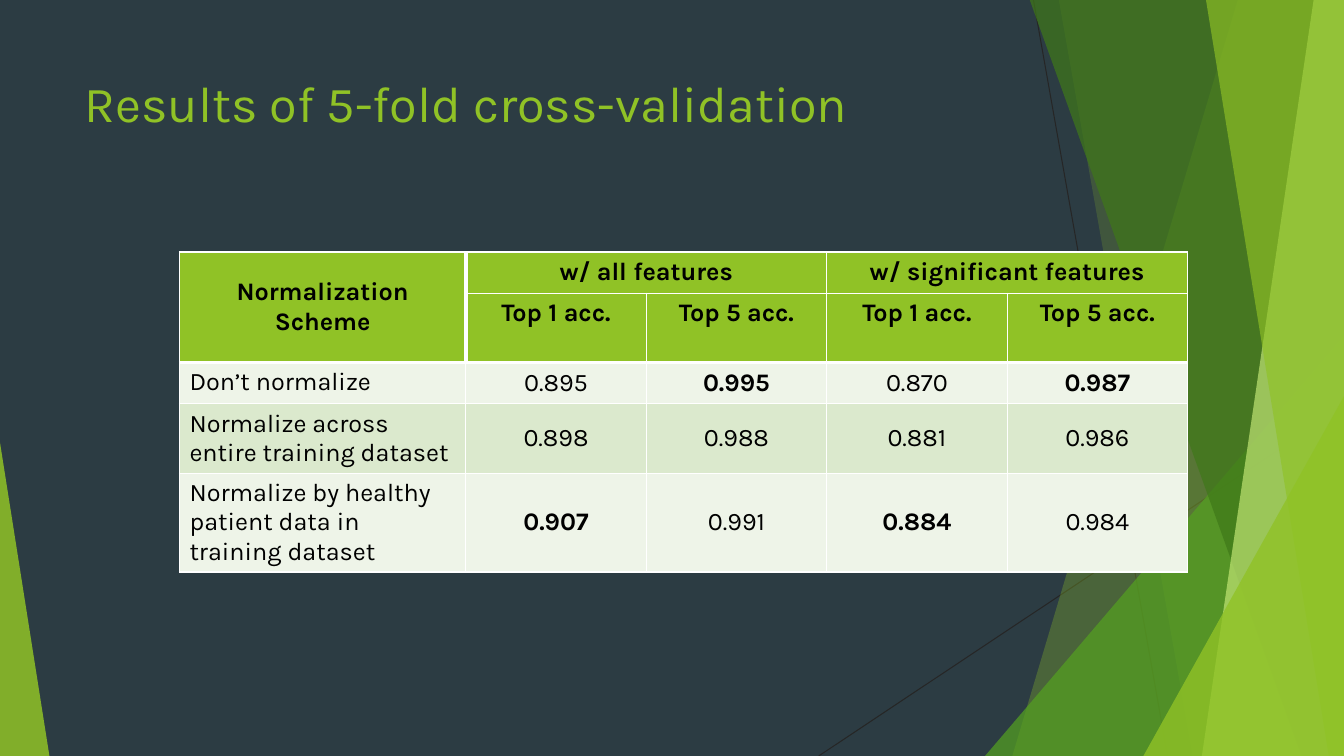
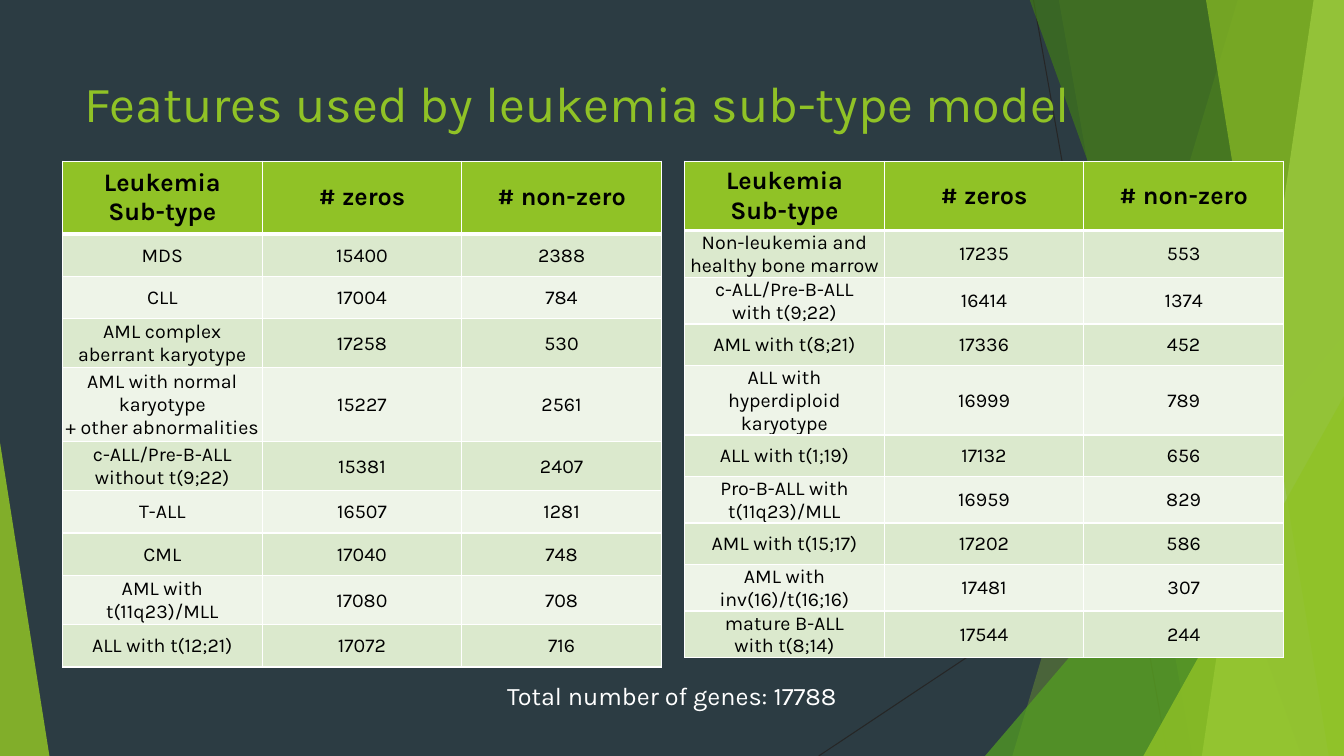
"""Build two slides of leukemia model results on a faceted green theme."""
from copy import deepcopy

from lxml import etree
from pptx import Presentation
from pptx.dml.color import RGBColor
from pptx.enum.shapes import MSO_CONNECTOR, MSO_SHAPE
from pptx.enum.text import MSO_ANCHOR, MSO_AUTO_SIZE, PP_ALIGN
from pptx.oxml.ns import qn
from pptx.util import Inches, Pt

LINE = MSO_CONNECTOR.STRAIGHT
TRIANGLE = MSO_SHAPE.ISOSCELES_TRIANGLE
TOP, MIDDLE = MSO_ANCHOR.TOP, MSO_ANCHOR.MIDDLE
LEFT, CENTER = PP_ALIGN.LEFT, PP_ALIGN.CENTER
NO_AUTOSIZE = MSO_AUTO_SIZE.NONE

WIDTH, HEIGHT = 13.33, 7.5
FONT = "Karla"
TITLE_ONLY = 5
COLORS = {
    "back": "2C3C43", "lime": "90C226", "green": "54A021", "forest": "3F7819",
    "pale": "C0E474", "thread": "262626", "white": "FFFFFF", "black": "000000",
    "light": "EEF4E8", "tint": "DBE9CD",
}
TIGHT = {"margin_left": Inches(0.01), "margin_right": Inches(0.01),
         "margin_top": Inches(0.01), "margin_bottom": 0}


def rgb(name):
    return RGBColor.from_string(COLORS[name])


def assign(obj, values):
    for key, value in values.items():
        setattr(obj, key, value)


class Deck:
    """Holds the presentation, its shared style and the current slide."""

    def __init__(self):
        self.prs = Presentation()
        assign(self.prs, {"slide_width": Inches(WIDTH), "slide_height": Inches(HEIGHT)})
        self.layout = self.prs.slide_layouts[TITLE_ONLY]
        fill = self.layout.background.fill
        fill.solid()
        fill.fore_color.rgb = rgb("back")
        self.slide = None

    def add_slide(self, title, width, height):
        first = self.slide is None
        self.slide = self.prs.slides.add_slide(self.layout)
        if first:
            self.scenery()
        sp = self.slide.shapes.title
        assign(sp, {"left": Inches(0.74), "top": Inches(0.67),
                    "width": Inches(width), "height": Inches(height)})
        assign(sp.text_frame, {"vertical_anchor": TOP, "word_wrap": True,
                               "auto_size": NO_AUTOSIZE})
        self.set_text(sp.text_frame, title, 36, "lime", align=LEFT)

    def scenery(self):
        """Draw the facets and move them to the layout."""
        self.thread(10.25, 0, 11.58, HEIGHT)
        self.thread(WIDTH, 4.03, 8.12, HEIGHT)
        self.band(12.28, 10.04, "lime", 30)
        self.band(10.5, 11.83, "lime", 20)
        self.triangle(9.77, 3.33, 3.56, 1, "green", 72)
        self.band(10.21, 12.91, "forest", 70)
        self.band(13.03, 11.92, "pale", 70)
        self.band(11.96, 13.18, "lime", 65)
        self.triangle(11.34, 3.93, 1.99, 1, "lime", 80)
        self.triangle(0, 4.39, 0.49, 0, "lime", 85)
        tree = self.layout.shapes.element
        facets = [sp for sp in self.slide.shapes if not sp.is_placeholder]
        for i, sp in enumerate(facets, 2):
            tree.insert(i, sp.element)

    def thread(self, *ends):
        line = self.slide.shapes.add_connector(LINE, *map(Inches, ends))
        line.line.color.rgb = rgb("thread")
        line.line.width = Pt(0.75)
        etree.SubElement(line.element.spPr, qn("a:effectLst"))

    def band(self, top_x, bottom_x, color, alpha):
        """Draw a facet that reaches the right edge of the slide."""
        top = Inches(-0.01)
        builder = self.slide.shapes.build_freeform(Inches(top_x), top)
        corners = [(Inches(WIDTH), top), (Inches(WIDTH), Inches(HEIGHT)),
                   (Inches(bottom_x), Inches(HEIGHT))]
        builder.add_line_segments(corners, close=True)
        self.paint(builder.convert_to_shape(), color, alpha)

    def triangle(self, x, y, width, apex, color, alpha):
        """Draw a facet that stands on the bottom edge of the slide."""
        sp = self.slide.shapes.add_shape(
            TRIANGLE, *map(Inches, (x, y, width, HEIGHT - y)))
        sp.adjustments[0] = apex
        self.paint(sp, color, alpha)

    def paint(self, sp, color, alpha):
        sp.shadow.inherit = False
        sp.line.fill.background()
        sp.fill.solid()
        sp.fill.fore_color.rgb = rgb(color)
        clr = sp.element.spPr.find(qn("a:solidFill")).find(qn("a:srgbClr"))
        etree.SubElement(clr, qn("a:alpha"), val=str(alpha * 1000))

    def set_text(self, tf, text, size, color, bold=False, align=CENTER):
        p = tf.paragraphs[0]
        p.text = text
        p.alignment = align
        for r in p.runs:
            assign(r.font, {"name": FONT, "size": Pt(size), "bold": bold})
            r.font.color.rgb = rgb(color)
        for br in p._p.findall(qn("a:br")):
            br.append(deepcopy(p.runs[0]._r.rPr))

    def text(self, text, x, y, width, height):
        box = self.slide.shapes.add_textbox(*map(Inches, (x, y, width, height)))
        box.text_frame.word_wrap = True
        self.set_text(box.text_frame, text, 18, "white")

    def table(self, rows, at, widths, heights):
        x, y, width, height = map(Inches, at)
        frame = self.slide.shapes.add_table(len(rows), len(widths), x, y, width, height)
        table = frame.table
        for col, w in zip(table.columns, widths):
            col.width = Inches(w)
        for row, h in zip(table.rows, heights):
            row.height = Inches(h)
        frame.height = height
        return table

    def cell(self, cell, text, fill, size=18, bold=False, align=CENTER,
             anchor=MIDDLE, margins=None, thick=""):
        """Fill one cell; thick names the sides with a heavy border."""
        assign(cell, {"vertical_anchor": anchor, **(margins or {})})
        cell.fill.solid()
        cell.fill.fore_color.rgb = rgb(fill)
        self.set_text(cell.text_frame, text, size, "black", bold, align)
        tc_pr = cell._tc.get_or_add_tcPr()
        for i, side in enumerate("LRTB"):
            ln = etree.Element(qn(f"a:ln{side}"), w=str(Pt(3 if side in thick else 1)))
            solid = etree.SubElement(ln, qn("a:solidFill"))
            etree.SubElement(solid, qn("a:srgbClr"), val=COLORS["white"])
            tc_pr.insert(i, ln)

    def accuracy_table(self, rows, best):
        """Two header rows with merged cells, then one row per scheme."""
        table = self.table(rows, (1.78, 2.5, 9.99, 2.92), [2.84] + [1.79] * 4, [0.41] * 5)
        for start, end in (((0, 0), (1, 0)), ((0, 1), (0, 2)), ((0, 3), (0, 4))):
            table.cell(*start).merge(table.cell(*end))
        for i, row in enumerate(rows):
            for j, text in enumerate(row):
                header = i < 2
                style = {"bold": header or (i, j) in best, "thick": ""}
                if header:
                    style["anchor"] = TOP if j else MIDDLE
                    style["thick"] = ("R" if j == 0 else "L" if j == 1 else "")
                    style["thick"] += "B" if i == 1 or j == 0 else ""
                elif j == 0:
                    style.update(align=LEFT, anchor=TOP)
                elif i == 2:
                    style["thick"] = "T"
                fill = "lime" if header else ("light", "tint")[i % 2]
                self.cell(table.cell(i, j), text, fill, **style)

    def feature_table(self, rows, x, heights):
        """One header row, then one row per sub-type."""
        rows = [("Leukemia\nSub-type", "# zeros", "# non-zero")] + rows
        table = self.table(rows, (x, 1.6, 5.93, 5.01), [1.98] * 3, heights)
        for i, row in enumerate(rows):
            for j, value in enumerate(row):
                if i == 0:
                    fill, style = "lime", {"bold": True, "thick": "B"}
                else:
                    fill = ("light", "tint")[i % 2]
                    style = {"size": 14, "margins": TIGHT, "thick": "T" if i == 1 else ""}
                self.cell(table.cell(i, j), str(value), fill, **style)


ACCURACY = [
    ("Normalization Scheme", "w/ all features", "", "w/ significant features", ""),
    ("", "Top 1 acc.", "Top 5 acc.", "Top 1 acc.", "Top 5 acc."),
    ("Don’t normalize", "0.895", "0.995", "0.870", "0.987"),
    ("Normalize across entire training dataset", "0.898", "0.988", "0.881", "0.986"),
    ("Normalize by healthy patient data in training dataset",
     "0.907", "0.991", "0.884", "0.984"),
]
BEST = {(2, 2), (2, 4), (4, 1), (4, 3)}
FEATURES_LEFT = [
    ("MDS", 15400, 2388),
    ("CLL", 17004, 784),
    ("AML complex\naberrant karyotype", 17258, 530),
    ("AML with normal karyotype\n+ other abnormalities", 15227, 2561),
    ("c-ALL/Pre-B-ALL\nwithout t(9;22)", 15381, 2407),
    ("T-ALL", 16507, 1281),
    ("CML", 17040, 748),
    ("AML with\nt(11q23)/MLL", 17080, 708),
    ("ALL with t(12;21)", 17072, 716),
]
FEATURES_RIGHT = [
    ("Non-leukemia and\nhealthy bone marrow", 17235, 553),
    ("c-ALL/Pre-B-ALL\nwith t(9;22)", 16414, 1374),
    ("AML with t(8;21)", 17336, 452),
    ("ALL with\nhyperdiploid karyotype", 16999, 789),
    ("ALL with t(1;19)", 17132, 656),
    ("Pro-B-ALL with\nt(11q23)/MLL", 16959, 829),
    ("AML with t(15;17)", 17202, 586),
    ("AML with\ninv(16)/t(16;16)", 17481, 307),
    ("mature B-ALL\nwith t(8;14)", 17544, 244),
]
LEFT_HEIGHTS = [0.72, 0.42, 0.42, 0.49, 0.73, 0.49, 0.42, 0.42, 0.49, 0.42]

deck = Deck()
deck.add_slide("Results of 5-fold cross-validation", 9.4, 0.75)
deck.accuracy_table(ACCURACY, BEST)

deck.add_slide("Features used by leukemia sub-type model", 10.36, 1.44)
deck.feature_table(FEATURES_LEFT, 0.62, LEFT_HEIGHTS)
deck.feature_table(FEATURES_RIGHT, 6.79, [0.41] * 10)
deck.text("Total number of genes: 17788", 4.82, 6.7, 3.69, 0.4)

deck.prs.save("out.pptx")
